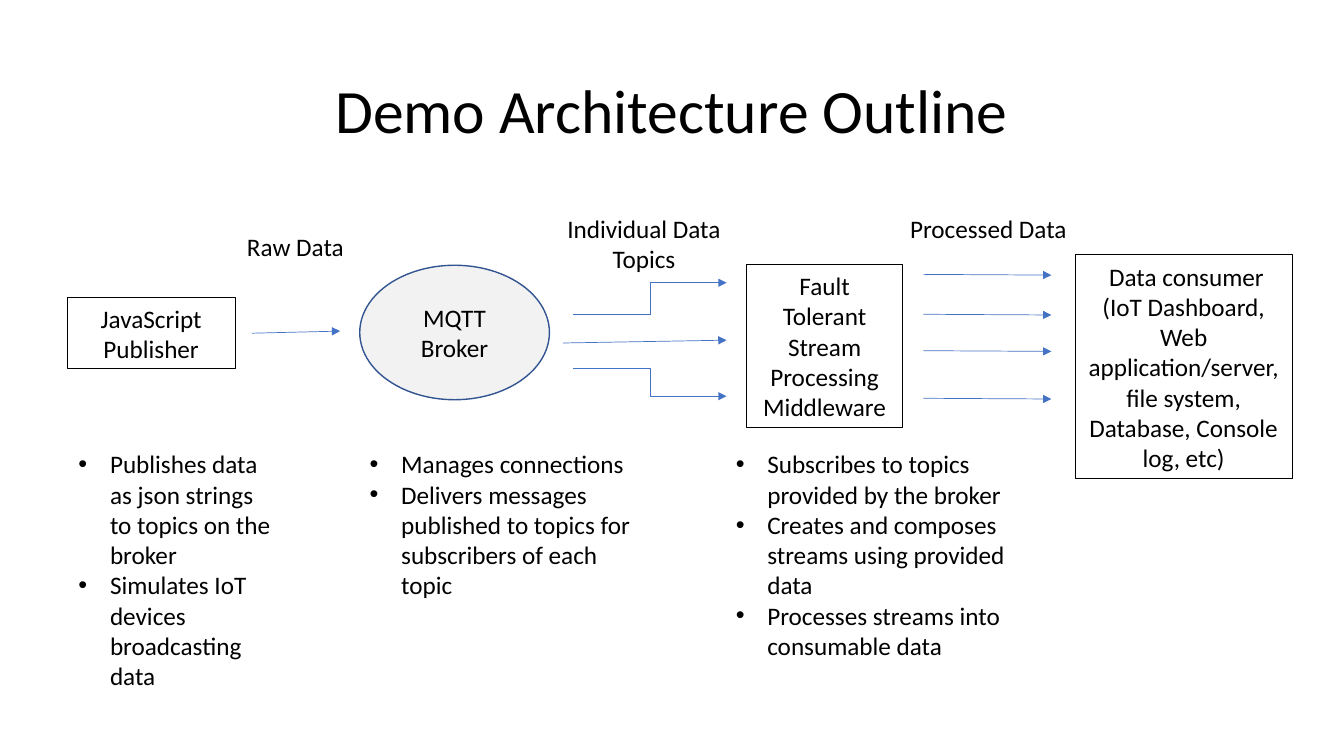
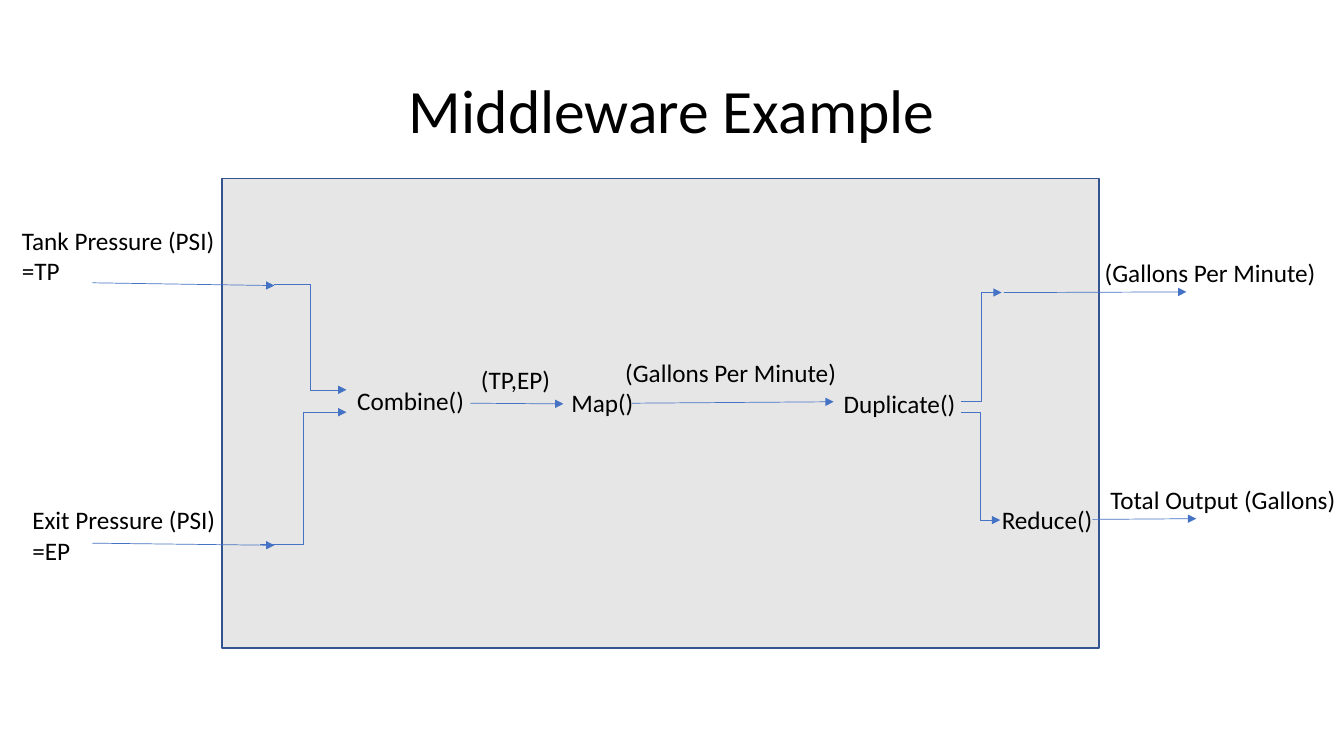
from lxml import etree
from pptx import Presentation
from pptx.dml.color import RGBColor
from pptx.enum.shapes import MSO_CONNECTOR, MSO_SHAPE
from pptx.enum.text import MSO_ANCHOR, PP_ALIGN
from pptx.oxml.ns import qn
from pptx.util import Pt

RECT, OVAL = MSO_SHAPE.RECTANGLE, MSO_SHAPE.OVAL
STRAIGHT, ELBOW = MSO_CONNECTOR.STRAIGHT, MSO_CONNECTOR.ELBOW
LEFT, CENTER = PP_ALIGN.LEFT, PP_ALIGN.CENTER
MIDDLE = MSO_ANCHOR.MIDDLE

FONT = "Calibri"
INK = "000000"
OUTLINE = "325491"
ARROW = "4472C4"
BROKER_FILL = "F2F2F2"
PANEL_FILL = "E7E6E6"
TITLE_BOX = (66, 28.8, 828, 104.4)
INDENT = 22.5


def add_block(slide, box, lines=(), kind=None, fill=None, outline=None,
              width=0.75, size=18, align=LEFT, spacing=1.0, bullets=False):
    left, top, wide, high = [Pt(value) for value in box]
    if kind is None:
        block = slide.shapes.add_textbox(left, top, wide, high)
    else:
        block = slide.shapes.add_shape(kind, left, top, wide, high)
        block.shadow.inherit = False
        block.line.color.rgb = RGBColor.from_string(outline)
        block.line.width = Pt(width)
        if fill:
            block.fill.solid()
            block.fill.fore_color.rgb = RGBColor.from_string(fill)
        else:
            block.fill.background()
    frame = block.text_frame
    frame.word_wrap = True
    for index, line in enumerate(lines):
        paragraph = frame.paragraphs[0] if index == 0 else frame.add_paragraph()
        paragraph.alignment = align
        paragraph.line_spacing = spacing
        if bullets:
            properties = paragraph._p.get_or_add_pPr()
            properties.set("marL", str(Pt(INDENT)))
            properties.set("indent", str(-Pt(INDENT)))
            etree.SubElement(properties, qn("a:buFont"), typeface="Arial")
            etree.SubElement(properties, qn("a:buChar"), char="•")
        run = paragraph.add_run()
        run.text = line
        run.font.name = FONT
        run.font.size = Pt(size)
        run.font.color.rgb = RGBColor.from_string(INK)
    return block


def add_arrow(slide, kind, *ends):
    arrow = slide.shapes.add_connector(kind, *[Pt(value) for value in ends])
    arrow.line.color.rgb = RGBColor.from_string(ARROW)
    arrow.line.width = Pt(0.5)
    etree.SubElement(arrow.line._get_or_add_ln(), qn("a:tailEnd"), type="triangle")
    etree.SubElement(arrow._element.spPr, qn("a:effectLst"))


deck = Presentation()
deck.slide_width, deck.slide_height = Pt(960), Pt(540)
architecture, middleware = [deck.slides.add_slide(deck.slide_layouts[6]) for _ in range(2)]

add_block(middleware, (158.5, 127.5, 626.5, 335.5), kind=RECT,
          fill=PANEL_FILL, outline=OUTLINE, width=1)

for slide, title in ((architecture, "Demo Architecture Outline"),
                     (middleware, "Middleware Example")):
    heading = add_block(slide, TITLE_BOX, [title], size=44, align=CENTER, spacing=0.9)
    heading.text_frame.vertical_anchor = MIDDLE

add_block(architecture, (257, 189.5, 135.5, 96), ["MQTT Broker"], kind=OVAL,
          fill=BROKER_FILL, outline=OUTLINE, width=1, align=CENTER)

for box, component in (
    ((48, 212.5, 120, 51), "JavaScript Publisher"),
    ((533, 189, 112, 116.5), "Fault Tolerant Stream Processing Middleware"),
    ((768, 182, 155, 160),
     " Data consumer (IoT Dashboard, Web application/server, file system, Database, Console log, etc)"),
):
    add_block(architecture, box, [component], kind=RECT, outline=INK, align=CENTER)

for box, flow in (
    ((151, 161.5, 120, 29), "Raw Data"),
    ((386.5, 149, 147, 51), "Individual Data Topics"),
    ((631.5, 149, 149, 29), "Processed Data"),
):
    add_block(architecture, box, [flow], align=CENTER)

for left, width, duties in (
    (49, 155, ["Publishes data as json strings to topics on the broker",
               "Simulates IoT devices broadcasting data"]),
    (257, 216, ["Manages connections",
                "Delivers messages published to topics for subscribers of each topic"]),
    (518.5, 216, ["Subscribes to topics provided by the broker",
                  "Creates and composes streams using provided data",
                  "Processes streams into consumable data"]),
):
    add_block(architecture, (left, 317, width, 160), duties, bullets=True)

add_arrow(architecture, STRAIGHT, 180, 238, 243, 236.5)
add_arrow(architecture, ELBOW, 409.5, 224.5, 519, 202)
add_arrow(architecture, STRAIGHT, 402, 245, 519, 243)
add_arrow(architecture, ELBOW, 409.5, 263, 519, 283)
for y in (196, 224.5, 250.5, 284.5):
    add_arrow(architecture, STRAIGHT, 659.5, y, 751, y + 0.5)

for box, lines in (
    ((8.5, 157.5, 156, 51), ["Tank Pressure (PSI)", "=TP"]),
    ((16, 357, 216, 51), ["Exit Pressure (PSI)", "=EP"]),
    ((248, 272, 101, 29), ["Combine()"]),
    ((336.5, 256.5, 64, 29), ["(TP,EP)"]),
    ((401, 273, 64, 29), ["Map()"]),
    ((439.5, 252, 167, 29), ["(Gallons Per Minute)"]),
    ((595.5, 273.5, 99, 29), ["Duplicate()"]),
    ((708.5, 357, 97, 29), ["Reduce()"]),
    ((782, 180, 167, 29), ["(Gallons Per Minute)"]),
    ((786, 342.5, 181, 29), ["Total Output (Gallons)"]),
):
    add_block(middleware, box, lines)

for ends in (
    (66, 202, 196, 204),
    (66, 388, 196, 389.5),
    (336, 288, 402.5, 288.5),
    (451.5, 288, 595.5, 287),
    (717, 209, 847.5, 208.5),
    (780.5, 371, 854.5, 370.5),
):
    add_arrow(middleware, STRAIGHT, *ends)

for ends in (
    (196, 203, 247.5, 278.5),
    (186, 389, 247.5, 294.5),
    (686.5, 294.5, 714.5, 371.5),
    (686.5, 286.5, 715.5, 209),
):
    add_arrow(middleware, ELBOW, *ends)

deck.save("out.pptx")
